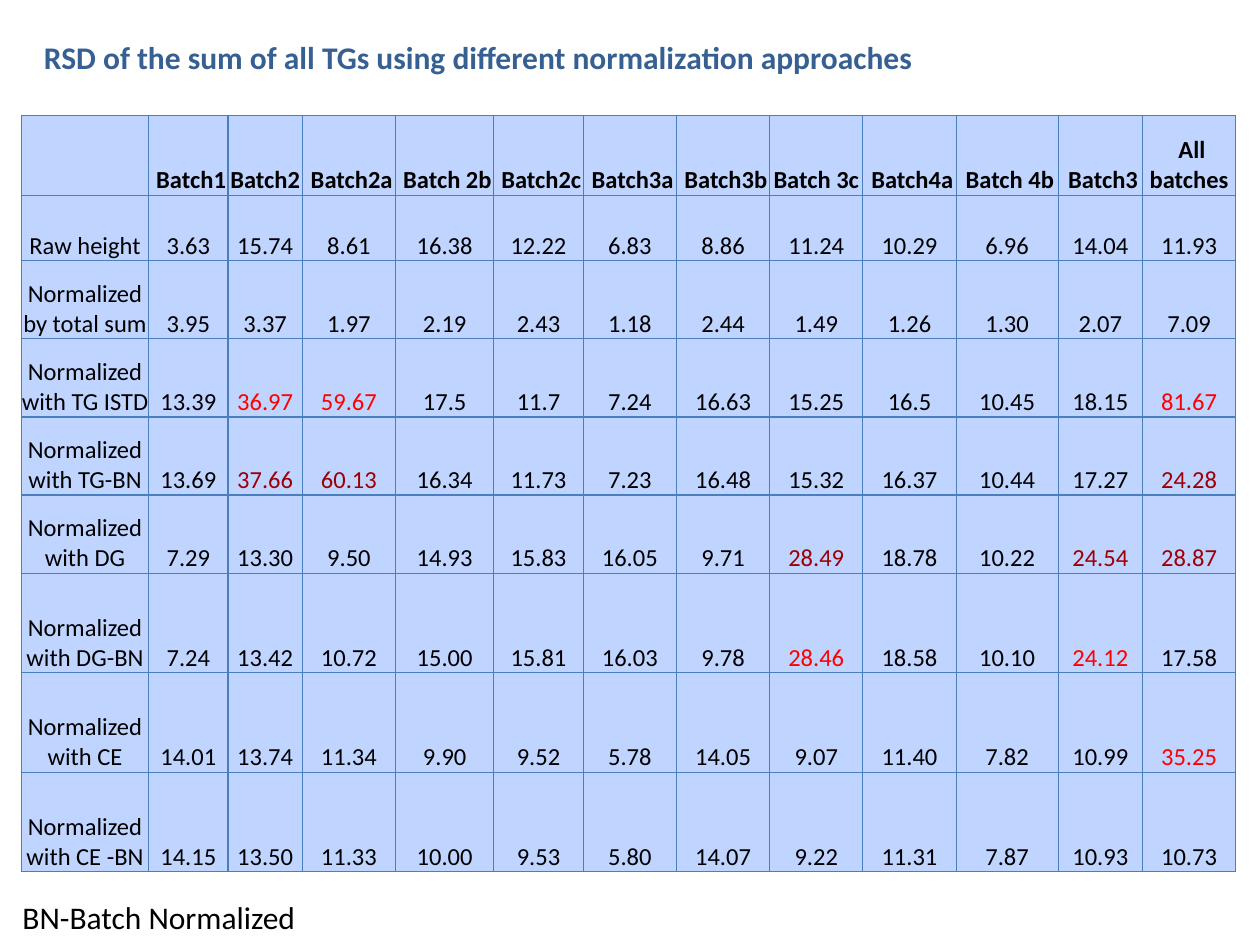
from dataclasses import dataclass

from lxml import etree
from pptx import Presentation
from pptx.dml.color import RGBColor
from pptx.enum.text import MSO_ANCHOR, MSO_AUTO_SIZE, PP_ALIGN
from pptx.oxml.ns import qn
from pptx.util import Inches, Pt

BOTTOM = MSO_ANCHOR.BOTTOM
CENTER = PP_ALIGN.CENTER
GROW = MSO_AUTO_SIZE.SHAPE_TO_FIT_TEXT

FONT = "Calibri"
BLACK = "000000"
RED = "FF0000"
DARK_RED = "9C0006"
TITLE_BLUE = "376092"
CELL_BLUE = "BFD4FF"
BORDER_BLUE = "4B7EBC"
HIGH_RSD = 20
BORDER_SIDES = ("a:lnL", "a:lnR", "a:lnT", "a:lnB")

COLUMN_WIDTHS = (1.01, 0.63, 0.59, 0.74, 0.78, 0.71, 0.74,
                 0.74, 0.74, 0.74, 0.81, 0.67, 0.74)
HEADER_HEIGHT = 0.63
HEADINGS = ("", " Batch1", " Batch2", " Batch2a", " Batch 2b", " Batch2c",
            " Batch3a", " Batch3b", "Batch 3c", " Batch4a", " Batch 4b",
            " Batch3", " All batches")


@dataclass(frozen=True)
class Approach:
    label: str
    height: float
    values: str
    high_color: str = BLACK
    inset: float = 0


APPROACHES = (
    Approach("Raw height", 0.52,
             "3.63 15.74 8.61 16.38 12.22 6.83 8.86 11.24 10.29 6.96 14.04 11.93",
             inset=0.01),
    Approach("Normalized by total sum", 0.62,
             "3.95 3.37 1.97 2.19 2.43 1.18 2.44 1.49 1.26 1.30 2.07 7.09"),
    Approach("Normalized with TG ISTD", 0.62,
             "13.39 36.97 59.67 17.5 11.7 7.24 16.63 15.25 16.5 10.45 18.15 81.67",
             RED),
    Approach("Normalized with TG-BN", 0.62,
             "13.69 37.66 60.13 16.34 11.73 7.23 16.48 15.32 16.37 10.44 17.27 24.28",
             DARK_RED, 0.01),
    Approach("Normalized with DG", 0.62,
             "7.29 13.30 9.50 14.93 15.83 16.05 9.71 28.49 18.78 10.22 24.54 28.87",
             DARK_RED),
    Approach("Normalized with DG-BN", 0.79,
             "7.24 13.42 10.72 15.00 15.81 16.03 9.78 28.46 18.58 10.10 24.12 17.58",
             RED),
    Approach("Normalized with CE", 0.79,
             "14.01 13.74 11.34 9.90 9.52 5.78 14.05 9.07 11.40 7.82 10.99 35.25",
             RED),
    Approach("Normalized with CE -BN", 0.79,
             "14.15 13.50 11.33 10.00 9.53 5.80 14.07 9.22 11.31 7.87 10.93 10.73"),
)


def rgb(color: str) -> RGBColor:
    return RGBColor.from_string(color)


def format_font(font, size: float, color: str, bold: bool) -> None:
    font.name = FONT
    font.size = Pt(size)
    font.bold = bold
    font.color.rgb = rgb(color)


def add_borders(cell) -> None:
    properties = cell._tc.get_or_add_tcPr()
    for side in BORDER_SIDES:
        border = etree.SubElement(properties, qn(side), w=str(Pt(0.75)))
        fill = etree.SubElement(border, qn("a:solidFill"))
        etree.SubElement(fill, qn("a:srgbClr"), val=BORDER_BLUE)


def fill_cell(cell, text: str, inset: float = 0, color: str = BLACK,
              bold: bool = False) -> None:
    add_borders(cell)
    cell.fill.solid()
    cell.fill.fore_color.rgb = rgb(CELL_BLUE)
    cell.vertical_anchor = BOTTOM
    cell.margin_left = cell.margin_right = cell.margin_top = Inches(inset)
    cell.margin_bottom = Inches(0)
    cell.text_frame.text = text
    paragraph = cell.text_frame.paragraphs[0]
    paragraph.alignment = CENTER
    format_font(paragraph.font, 14, color, bold)
    for run in paragraph.runs:
        format_font(run.font, 14, color, bold)


def add_rsd_table(slide) -> None:
    heights = [HEADER_HEIGHT] + [approach.height for approach in APPROACHES]
    table = slide.shapes.add_table(
        len(heights), len(COLUMN_WIDTHS), Inches(0.17), Inches(0.92),
        Inches(sum(COLUMN_WIDTHS)), Inches(sum(heights))).table
    table.first_row = False
    table.horz_banding = False
    for column, width in zip(table.columns, COLUMN_WIDTHS):
        column.width = Inches(width)
    for row, height in zip(table.rows, heights):
        row.height = Inches(height)
    for column, heading in enumerate(HEADINGS):
        fill_cell(table.cell(0, column), heading, 0.01, bold=True)
    for row, approach in enumerate(APPROACHES, start=1):
        fill_cell(table.cell(row, 0), approach.label)
        for column, rsd in enumerate(approach.values.split(), start=1):
            color = approach.high_color if float(rsd) > HIGH_RSD else BLACK
            fill_cell(table.cell(row, column), rsd, approach.inset, color)


def add_line_of_text(slide, text: str, left: float, top: float, width: float,
                     color: str, bold: bool = False) -> None:
    frame = slide.shapes.add_textbox(
        Inches(left), Inches(top), Inches(width), Inches(0.4)).text_frame
    frame.word_wrap = True
    frame.auto_size = GROW
    frame.text = text
    format_font(frame.paragraphs[0].runs[0].font, 18, color, bold)


def main() -> None:
    presentation = Presentation()
    presentation.slide_width = Inches(10)
    presentation.slide_height = Inches(7.5)
    slide = presentation.slides.add_slide(presentation.slide_layouts[6])
    add_rsd_table(slide)
    add_line_of_text(
        slide, "RSD of the sum of all TGs using different normalization approaches",
        0.25, 0.25, 8.67, TITLE_BLUE, bold=True)
    add_line_of_text(slide, "BN-Batch Normalized", 0.08, 7.08, 2.58, BLACK)
    presentation.save("out.pptx")


if __name__ == "__main__":
    main()
